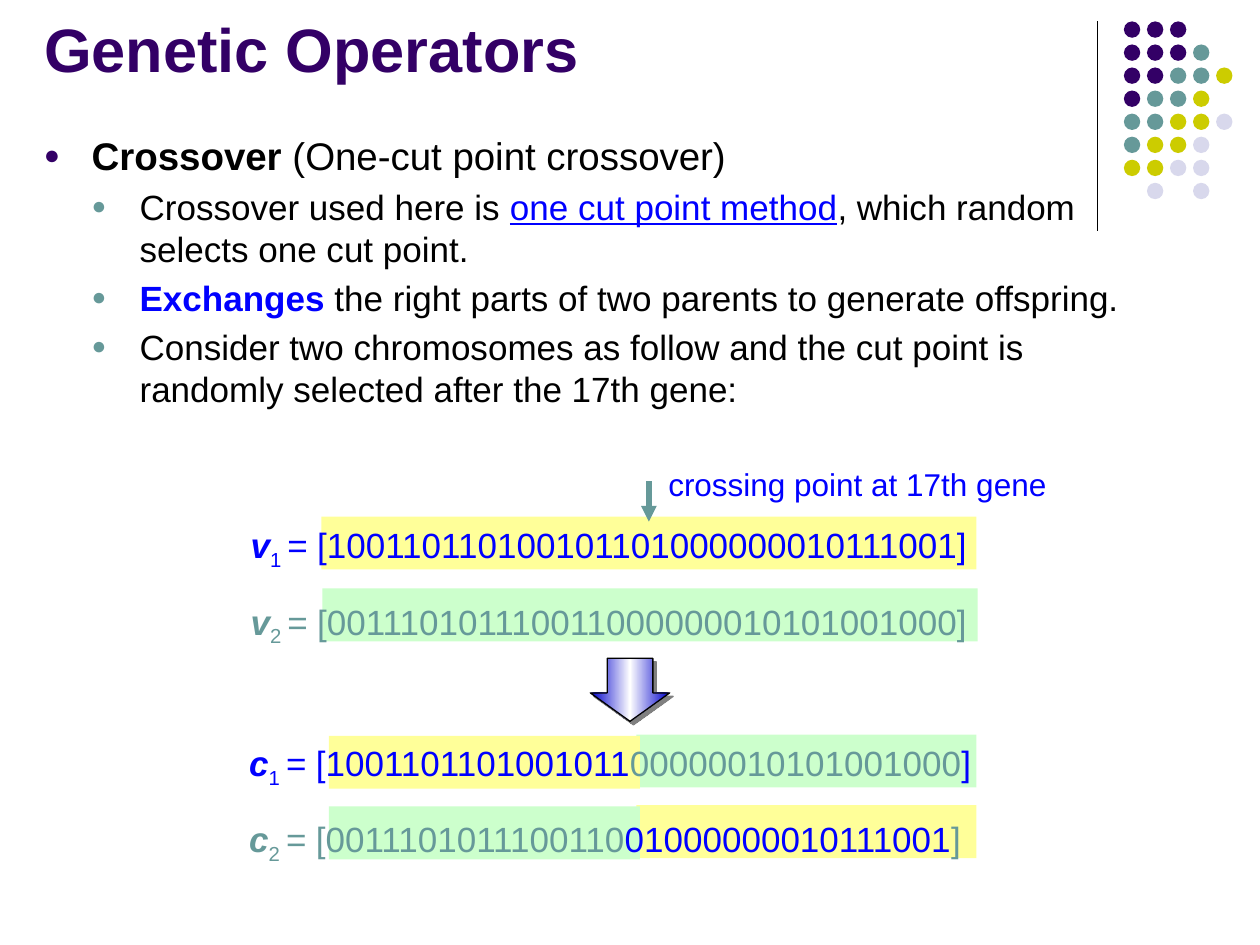
from dataclasses import dataclass

from lxml.etree import SubElement
from pptx import Presentation
from pptx.dml.color import RGBColor
from pptx.enum.shapes import MSO_CONNECTOR, MSO_SHAPE
from pptx.enum.text import MSO_ANCHOR, MSO_AUTO_SIZE, PP_ALIGN
from pptx.oxml import parse_xml
from pptx.oxml.ns import nsdecls, qn
from pptx.util import Inches, Pt

PURPLE, TEAL, OLIVE, LAVENDER = "330066", "669999", "CCCC00", "D8D8EC"
BLACK, BLUE, YELLOW, GREEN = "000000", "0000FF", "FFFF99", "CCFFCC"
DOT_COLORS = {"P": PURPLE, "T": TEAL, "O": OLIVE, "L": LAVENDER}
DOT_ROWS = ["PPP", "PPPT", "PPTTO", "PTTO", "TTOOL", "TOOL", "OOLL", " L L"]
DOT_PITCH = 0.183


@dataclass
class Span:
    text: str
    color: str = BLACK
    bold: bool = False
    italic: bool = False
    underline: bool = False
    subscript: bool = False


@dataclass
class Bullet:
    level: int
    size: float
    spans: list[Span]


@dataclass
class Band:
    left: float
    top: float
    width: float
    color: str


@dataclass
class Chromosome:
    name: str
    index: str
    color: str
    genes: list[Span]


BULLETS = [
    Bullet(0, 22, [Span("Crossover", bold=True), Span(" (One-cut point crossover)")]),
    Bullet(1, 20, [
        Span("Crossover used here is "),
        Span("one cut point method", BLUE, underline=True),
        Span(", which random selects one cut point."),
    ]),
    Bullet(1, 20, [
        Span("Exchanges", BLUE, bold=True),
        Span(" the right parts of two parents to generate offspring."),
    ]),
    Bullet(1, 20, [
        Span("Consider two chromosomes as follow and the cut point is "
             "randomly selected after the 17th gene:"),
    ]),
]
BANDS = [
    Band(5.05, 5.83, 2.7, GREEN),
    Band(5.05, 6.39, 2.7, YELLOW),
    Band(2.56, 4.67, 5.2, GREEN),
    Band(2.55, 4.1, 5.2, YELLOW),
    Band(2.61, 6.4, 2.47, GREEN),
    Band(2.61, 5.84, 2.47, YELLOW),
]
PARENTS = [
    Chromosome("v", "1", BLUE, [Span("[100110110100101101000000010111001]", BLUE)]),
    Chromosome("v", "2", TEAL, [Span("[001110101110011000000010101001000]", TEAL)]),
]
CHILDREN = [
    Chromosome("c", "1", BLUE, [
        Span("[1001101101001011", BLUE), Span("00000010101001000", TEAL), Span("]", BLUE),
    ]),
    Chromosome("c", "2", TEAL, [
        Span("[0011101011100110", TEAL), Span("01000000010111001", BLUE), Span("]", TEAL),
    ]),
]


def rgb(value: str) -> RGBColor:
    return RGBColor.from_string(value)


def add_span(paragraph, span: Span, size: float) -> None:
    run = paragraph.add_run()
    run.text = span.text
    font = run.font
    font.name, font.size = "Arial", Pt(size)
    font.bold, font.italic, font.underline = span.bold, span.italic, span.underline
    font.color.rgb = rgb(span.color)
    if span.subscript:
        run._r.get_or_add_rPr().set("baseline", "-25000")


def add_text_box(slide, left: float, top: float, width: float, height: float):
    box = slide.shapes.add_textbox(Inches(left), Inches(top), Inches(width), Inches(height))
    box.text_frame.word_wrap = True
    return box.text_frame


def next_paragraph(frame, position: int):
    return frame.add_paragraph() if position else frame.paragraphs[0]


def add_filled(shapes, kind, left: float, top: float, width: float, height: float, color: str):
    shape = shapes.add_shape(kind, Inches(left), Inches(top), Inches(width), Inches(height))
    shape.shadow.inherit = False
    shape.fill.solid()
    shape.fill.fore_color.rgb = rgb(color)
    shape.line.fill.background()
    return shape


def add_line(slide, left: float, top: float, bottom: float, color: str, width: float):
    line = slide.shapes.add_connector(
        MSO_CONNECTOR.STRAIGHT, Inches(left), Inches(top), Inches(left), Inches(bottom))
    line.line.color.rgb = rgb(color)
    line.line.width = Pt(width)
    SubElement(line._element.spPr, qn("a:effectLst"))
    return line


def add_dots(slide) -> None:
    group = slide.shapes.add_group_shape()
    for row, pattern in enumerate(DOT_ROWS):
        for column, key in enumerate(pattern):
            if key in DOT_COLORS:
                add_filled(group.shapes, MSO_SHAPE.OVAL, 8.92 + column * DOT_PITCH,
                           0.17 + row * DOT_PITCH, 0.13, 0.13, DOT_COLORS[key])


def add_title(slide) -> None:
    title = slide.shapes.title
    title.left, title.top = Inches(0.25), Inches(0.17)
    title.width, title.height = Inches(8.25), Inches(0.55)
    frame = title.text_frame
    frame.auto_size = MSO_AUTO_SIZE.NONE
    frame.vertical_anchor = MSO_ANCHOR.BOTTOM
    frame.paragraphs[0].alignment = PP_ALIGN.LEFT
    add_span(frame.paragraphs[0], Span("Genetic Operators", PURPLE, bold=True), 35)


def add_bullets(slide) -> None:
    frame = add_text_box(slide, 0.25, 1, 9, 4.82)
    for position, bullet in enumerate(BULLETS):
        paragraph = next_paragraph(frame, position)
        paragraph.level = bullet.level
        paragraph.space_before = Pt(bullet.size * 0.2)
        properties = paragraph._p.get_or_add_pPr()
        properties.set("marL", str(Inches(0.38 * (bullet.level + 1))))
        properties.set("indent", str(Inches(-0.38)))
        color = SubElement(properties, qn("a:buClr"))
        SubElement(color, qn("a:srgbClr"), val=TEAL if bullet.level else PURPLE)
        SubElement(properties, qn("a:buSzPct"), val="70000")
        SubElement(properties, qn("a:buFont"), typeface="Arial")
        SubElement(properties, qn("a:buChar"), char="●")
        for span in bullet.spans:
            add_span(paragraph, span, bullet.size)


def add_chromosomes(slide, left: float, top: float, chromosomes: list[Chromosome]) -> None:
    frame = add_text_box(slide, left, top, 6.07, 1.06)
    for position, item in enumerate(chromosomes):
        paragraph = next_paragraph(frame, position)
        paragraph.line_spacing = 1.2
        paragraph.space_before = Pt(11 * position)
        label = [
            Span(item.name, item.color, bold=True, italic=True),
            Span(item.index + " ", item.color, subscript=True),
            Span("= ", item.color, italic=True),
        ]
        for span in label + item.genes:
            add_span(paragraph, span, 20)


def add_block_arrow(slide) -> None:
    arrow = add_filled(slide.shapes, MSO_SHAPE.RIGHT_ARROW, 4.75, 5.16, 0.5, 0.63, BLUE)
    arrow.rotation = 90
    arrow.adjustments[0], arrow.adjustments[1] = 0.576, 0.451
    arrow.line.color.rgb = rgb(BLACK)
    arrow.line.width = Pt(0.75)
    stops = "".join(
        f'<a:gs pos="{place * 1000}"><a:srgbClr val="{color}"/></a:gs>'
        for place, color in [(0, "0000CC"), (50, "FFFFFF"), (100, "0000CC")])
    properties = arrow._element.spPr
    properties.replace(properties.find(qn("a:solidFill")), parse_xml(
        f'<a:gradFill {nsdecls("a")} rotWithShape="1"><a:gsLst>{stops}</a:gsLst>'
        '<a:lin ang="5400000" scaled="0"/></a:gradFill>'))
    shadow = SubElement(properties.find(qn("a:effectLst")), qn("a:outerShdw"), blurRad="0",
                        dist=str(Pt(2.8)), dir="2700000", algn="ctr", rotWithShape="0")
    SubElement(shadow, qn("a:srgbClr"), val="808080")


def main() -> None:
    presentation = Presentation()
    presentation.slide_width, presentation.slide_height = Inches(10), Inches(7.5)
    slide = presentation.slides.add_slide(presentation.slide_layouts[5])
    add_title(slide)
    add_line(slide, 8.71, 0.17, 1.83, BLACK, 0.75)
    add_dots(slide)
    for band in BANDS:
        add_filled(slide.shapes, MSO_SHAPE.RECTANGLE, band.left, band.top, band.width, 0.42, band.color)
    add_bullets(slide)
    add_chromosomes(slide, 1.89, 4.03, PARENTS)
    add_chromosomes(slide, 1.88, 5.76, CHILDREN)
    pointer = add_line(slide, 5.15, 4.14, 3.82, TEAL, 3)
    SubElement(pointer.line._get_or_add_ln(), qn("a:headEnd"), type="triangle")
    add_block_arrow(slide)
    caption = add_text_box(slide, 4.98, 3.64, 3.65, 0.4)
    caption.vertical_anchor = MSO_ANCHOR.MIDDLE
    caption.paragraphs[0].alignment = PP_ALIGN.CENTER
    add_span(caption.paragraphs[0], Span("crossing point at 17th gene", BLUE), 18)
    presentation.save("out.pptx")


if __name__ == "__main__":
    main()
